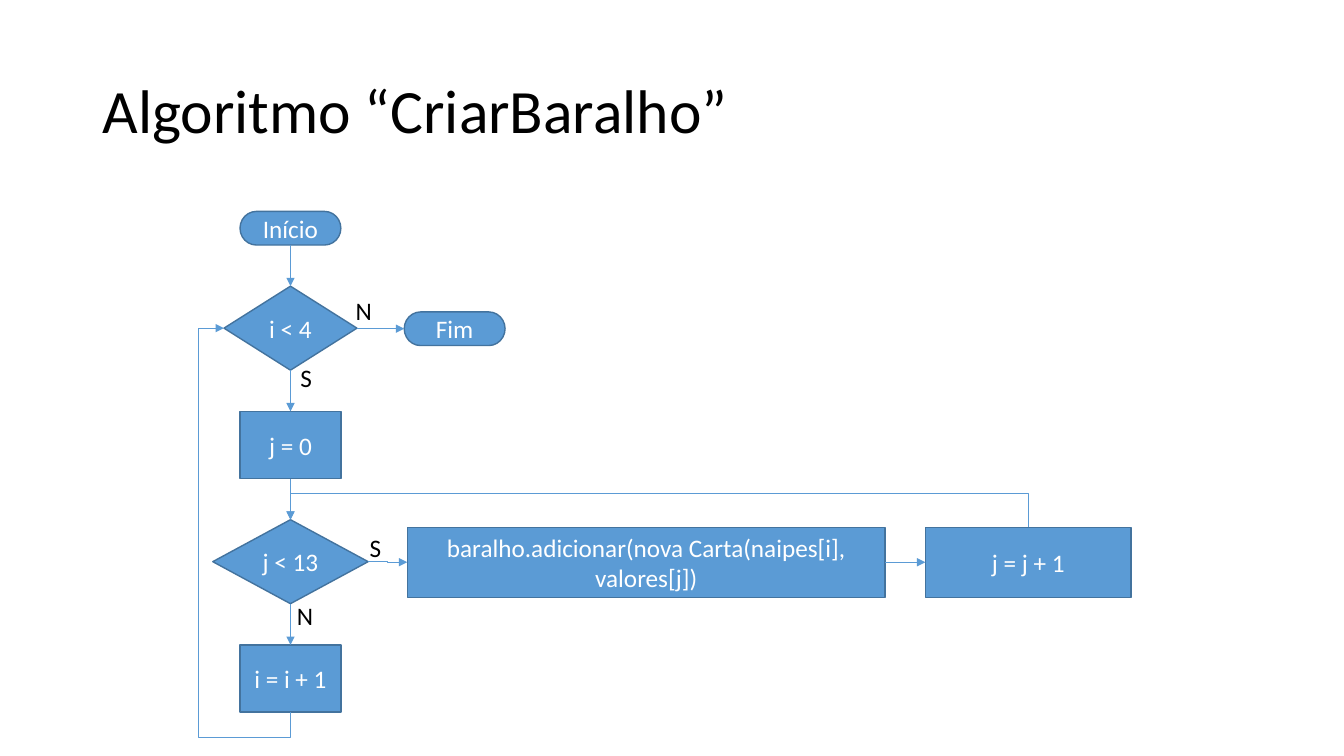
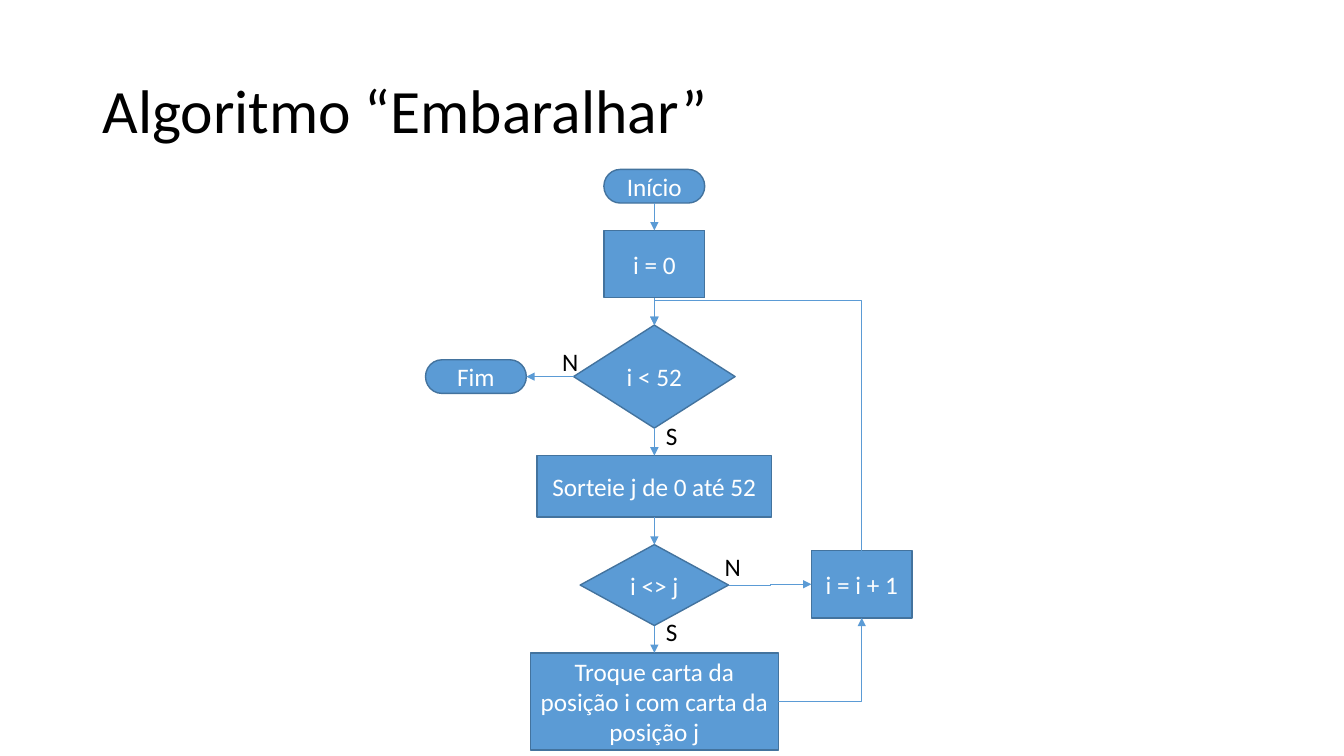
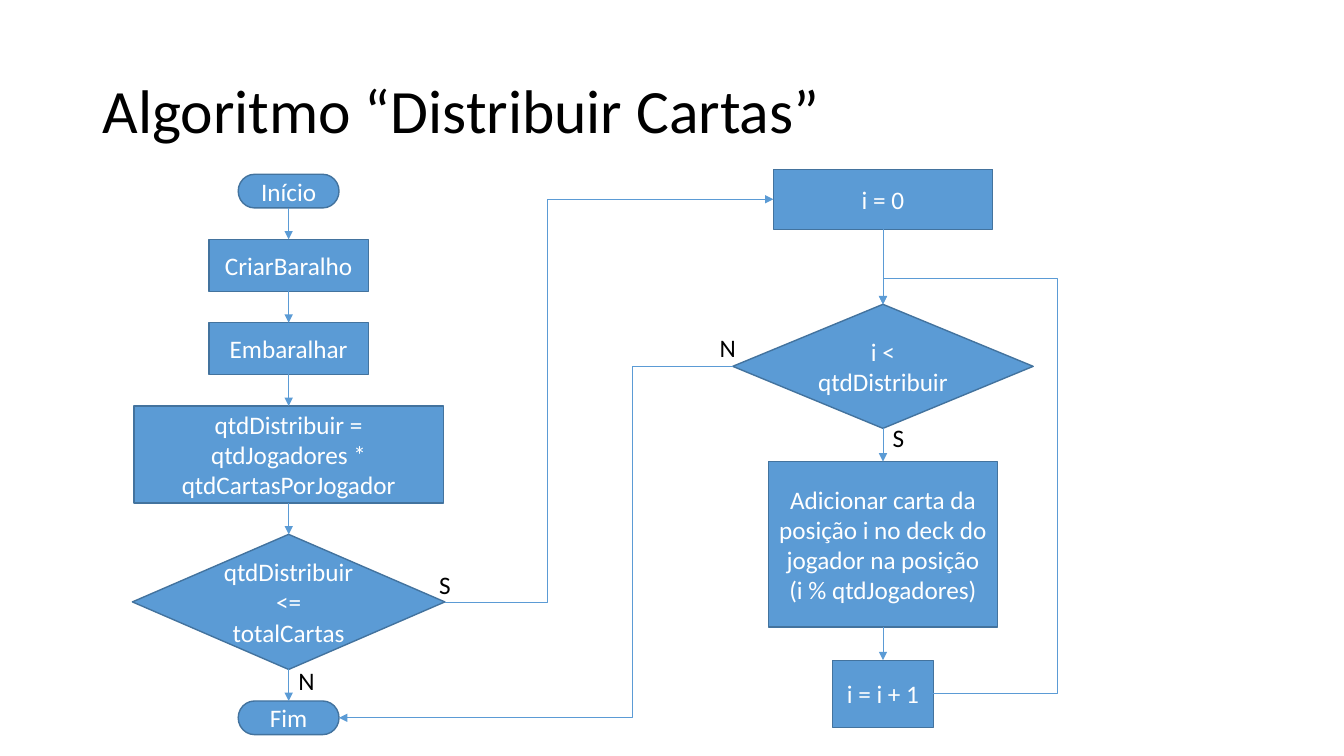
from lxml.etree import SubElement
from pptx import Presentation
from pptx.dml.color import RGBColor
from pptx.enum.shapes import MSO_CONNECTOR, MSO_SHAPE
from pptx.enum.text import MSO_ANCHOR, MSO_AUTO_SIZE, PP_ALIGN
from pptx.oxml.ns import qn
from pptx.util import Pt

FONT = "Calibri"
FILL, OUTLINE, WIRE = "5B9BD5", "43739E", "5B9BD5"
WHITE, BLACK = "FFFFFF", "000000"

TERMINATOR = MSO_SHAPE.FLOWCHART_TERMINATOR
DECISION = MSO_SHAPE.FLOWCHART_DECISION
PROCESS = MSO_SHAPE.FLOWCHART_PROCESS

# side: (connection site, x direction, y direction, rotation of a connector leaving there)
SIDES = {
    "top": (0, 0, -1, 270),
    "left": (1, -1, 0, 180),
    "bottom": (2, 0, 1, 90),
    "right": (3, 1, 0, 0),
}
LABEL_WIDTHS = {"N": 26, "S": 23}
LABEL_HEIGHT = 29

START = (TERMINATOR, "Início", 72, 24)
END = (TERMINATOR, "Fim", 72, 24)
NEXT_I = (PROCESS, "i = i + 1", 72, 48)
ADD_CARD = "baralho.adicionar(nova Carta(naipes[i], valores[j])"
SWAP = "Troque carta da posição i com carta da posição j"
COUNT = "qtdDistribuir = qtdJogadores * qtdCartasPorJogador"
ENOUGH = "qtdDistribuir <= totalCartas"
DEAL = "Adicionar carta da posição i no deck do jogador na posição (i % qtdJogadores)"

# column: (centre, top, gap, boxes); the boxes of a column are linked downwards
# link: (from, side, to, side, coordinates of the turns); None is halfway
SLIDES = [
    {
        "title": "Algoritmo “CriarBaralho”",
        "columns": [
            (207.5, 151, 29.4, [
                START,
                (DECISION, "i < 4", 95, 60),
                (PROCESS, "j = 0", 72, 48),
                (DECISION, "j < 13", 111, 60),
                NEXT_I,
            ]),
            (324.8, 222.8, 0, [END]),
            (461.6, 376.6, 0, [(PROCESS, ADD_CARD, 341.4, 50)]),
            (734.5, 376.6, 0, [(PROCESS, "j = j + 1", 147, 50)]),
        ],
        "links": [
            ("i < 4", "right", "Fim", "left", (None,)),
            ("j < 13", "right", ADD_CARD, "left", (None,)),
            (ADD_CARD, "right", "j = j + 1", "left", (None,)),
            ("j = j + 1", "top", "j < 13", "top", (352.8,)),
            ("i = i + 1", "bottom", "i < 4", "left", (527, 141.8)),
        ],
        "labels": [("N", 247, 207.5), ("N", 205, 425.5), ("S", 207.5, 255.5), ("S", 257, 376.5)],
    },
    {
        "title": "Algoritmo “Embaralhar”",
        "columns": [
            (467.4, 121, 19.6, [
                START,
                (PROCESS, "i = 0", 72, 48),
                (DECISION, "i < 52", 115.4, 73.6),
                (PROCESS, "Sorteie j de 0 até 52", 167.4, 44),
                (DECISION, "i <> j", 106, 57.8),
                (PROCESS, SWAP, 177, 69.4),
            ]),
            (340, 257, 0, [END]),
            (615.6, 393.4, 0, [NEXT_I]),
        ],
        "links": [
            (SWAP, "right", "i = i + 1", "bottom", ()),
            ("i <> j", "right", "i = i + 1", "left", (None,)),
            ("i = i + 1", "top", "i < 52", "top", (214.6,)),
            ("i < 52", "left", "Fim", "right", (None,)),
        ],
        "labels": [("N", 394.5, 243.5), ("N", 510.5, 390.5), ("S", 468.5, 296.5), ("S", 468.5, 437)],
    },
    {
        "title": "Algoritmo “Distribuir Cartas”",
        "columns": [
            (206.2, 124.5, 22.5, [
                START,
                (PROCESS, "CriarBaralho", 114, 37),
                (PROCESS, "Embaralhar", 114, 37),
                (PROCESS, COUNT, 221, 69.2),
                (DECISION, ENOUGH, 223.2, 96.5),
                END,
            ]),
            (630.7, 121, 0, [(PROCESS, "i = 0", 156.5, 42.8)]),
            (630.7, 217.4, 23.7, [
                (DECISION, "i < qtdDistribuir", 214.6, 88.6),
                (PROCESS, DEAL, 163.4, 118.2),
                NEXT_I,
            ]),
        ],
        "links": [
            (ENOUGH, "right", "i = 0", "left", (391,)),
            ("i = 0", "bottom", "i < qtdDistribuir", "top", (None,)),
            ("i < qtdDistribuir", "left", "Fim", "right", (451.4,)),
            ("i = i + 1", "right", "i < qtdDistribuir", "top", (755.3, 198.7)),
        ],
        "labels": [("N", 206, 471.5), ("N", 507, 234), ("S", 306.5, 403), ("S", 630.5, 298)],
    },
]


def rgb(value):
    return RGBColor.from_string(value)


def apply(target, **values):
    for name, value in values.items():
        setattr(target, name, value)


def write(frame, text, size, color, **paragraph_format):
    para = frame.paragraphs[0]
    apply(para, **paragraph_format)
    span = para.add_run()
    span.text = text
    apply(span.font, name=FONT, size=Pt(size))
    span.font.color.rgb = rgb(color)


def add_box(page, kind, text, left, top, width, height):
    box = page.shapes.add_shape(kind, Pt(left), Pt(top), Pt(width), Pt(height))
    box.shadow.inherit = False
    box.fill.solid()
    box.fill.fore_color.rgb = rgb(FILL)
    box.line.color.rgb = rgb(OUTLINE)
    box.line.width = Pt(1)
    box.text_frame.vertical_anchor = MSO_ANCHOR.MIDDLE
    write(box.text_frame, text, 18, WHITE, alignment=PP_ALIGN.CENTER)
    return box


def side_point(box, side):
    x_way, y_way = SIDES[side][1:3]
    return (box.left + box.width * (1 + x_way) // 2,
            box.top + box.height * (1 + y_way) // 2)


def link(page, source, source_side, target, target_side, turns=(None,)):
    """Glue an elbow arrow; it is turned to its exit side, then flipped where the target lies behind."""
    start, end = side_point(source, source_side), side_point(target, target_side)
    source_site, x_way, y_way, rotation = SIDES[source_side]
    wire = page.shapes.add_connector(MSO_CONNECTOR.ELBOW, *start, *end)
    wire.begin_connect(source, source_site)
    wire.end_connect(target, SIDES[target_side][0])

    delta = (end[0] - start[0], end[1] - start[1])
    ahead = delta[0] * x_way + delta[1] * y_way
    aside = delta[1] * x_way - delta[0] * y_way
    width, height = abs(ahead), abs(aside)
    apply(wire, left=(start[0] + end[0] - width) // 2, top=(start[1] + end[1] - height) // 2,
          width=width, height=height)
    properties = wire._element.spPr
    frame = properties.find(qn("a:xfrm"))
    for name, value in (("rot", rotation * 60000), ("flipH", int(ahead < 0)), ("flipV", int(aside < 0))):
        frame.set(name, str(value))

    geometry = properties.find(qn("a:prstGeom"))
    geometry.set("prst", f"bentConnector{2 + len(turns)}")
    guides = geometry.find(qn("a:avLst"))
    if guides is None:
        guides = SubElement(geometry, qn("a:avLst"))
    first_axis = 0 if x_way else 1
    for number, turn in enumerate(turns):
        if turn is not None:
            axis = (first_axis + number) % 2
            share = round((Pt(turn) - start[axis]) / delta[axis] * 100000)
            SubElement(guides, qn("a:gd"), name=f"adj{number + 1}", fmla=f"val {share}")

    wire.line.color.rgb = rgb(WIRE)
    wire.line.width = Pt(0.5)
    SubElement(properties.find(qn("a:ln")), qn("a:tailEnd"), type="triangle")
    SubElement(properties, qn("a:effectLst"))


def add_label(page, text, left, top):
    box = page.shapes.add_textbox(Pt(left), Pt(top), Pt(LABEL_WIDTHS[text]), Pt(LABEL_HEIGHT))
    apply(box.text_frame, word_wrap=False, auto_size=MSO_AUTO_SIZE.SHAPE_TO_FIT_TEXT)
    write(box.text_frame, text, 18, BLACK)


def add_column(page, centre, top, gap, boxes):
    """Stack the boxes, link neighbours, and return the shapes by their text."""
    shapes = {}
    previous = None
    for kind, text, width, height in boxes:
        box = add_box(page, kind, text, centre - width / 2, top, width, height)
        if previous is not None:
            link(page, previous, "bottom", box, "top")
        shapes[text] = previous = box
        top += height + gap
    return shapes


def add_flowchart(deck, layout, title, columns, links, labels):
    page = deck.slides.add_slide(layout)
    frame = page.shapes.title.text_frame
    apply(frame, vertical_anchor=MSO_ANCHOR.MIDDLE, auto_size=MSO_AUTO_SIZE.NONE)
    write(frame, title, 44, BLACK, alignment=PP_ALIGN.LEFT, line_spacing=0.9)
    shapes = {}
    for column in columns:
        shapes.update(add_column(page, *column))
    for source, source_side, target, target_side, turns in links:
        link(page, shapes[source], source_side, shapes[target], target_side, turns)
    for label in labels:
        add_label(page, *label)


def main():
    deck = Presentation()
    apply(deck, slide_width=Pt(960), slide_height=Pt(540))
    layout = deck.slide_layouts[5]
    apply(layout.placeholders[0], left=Pt(66), top=Pt(28.8), width=Pt(828), height=Pt(104.4))
    for content in SLIDES:
        add_flowchart(deck, layout, **content)
    deck.save("out.pptx")


if __name__ == "__main__":
    main()
